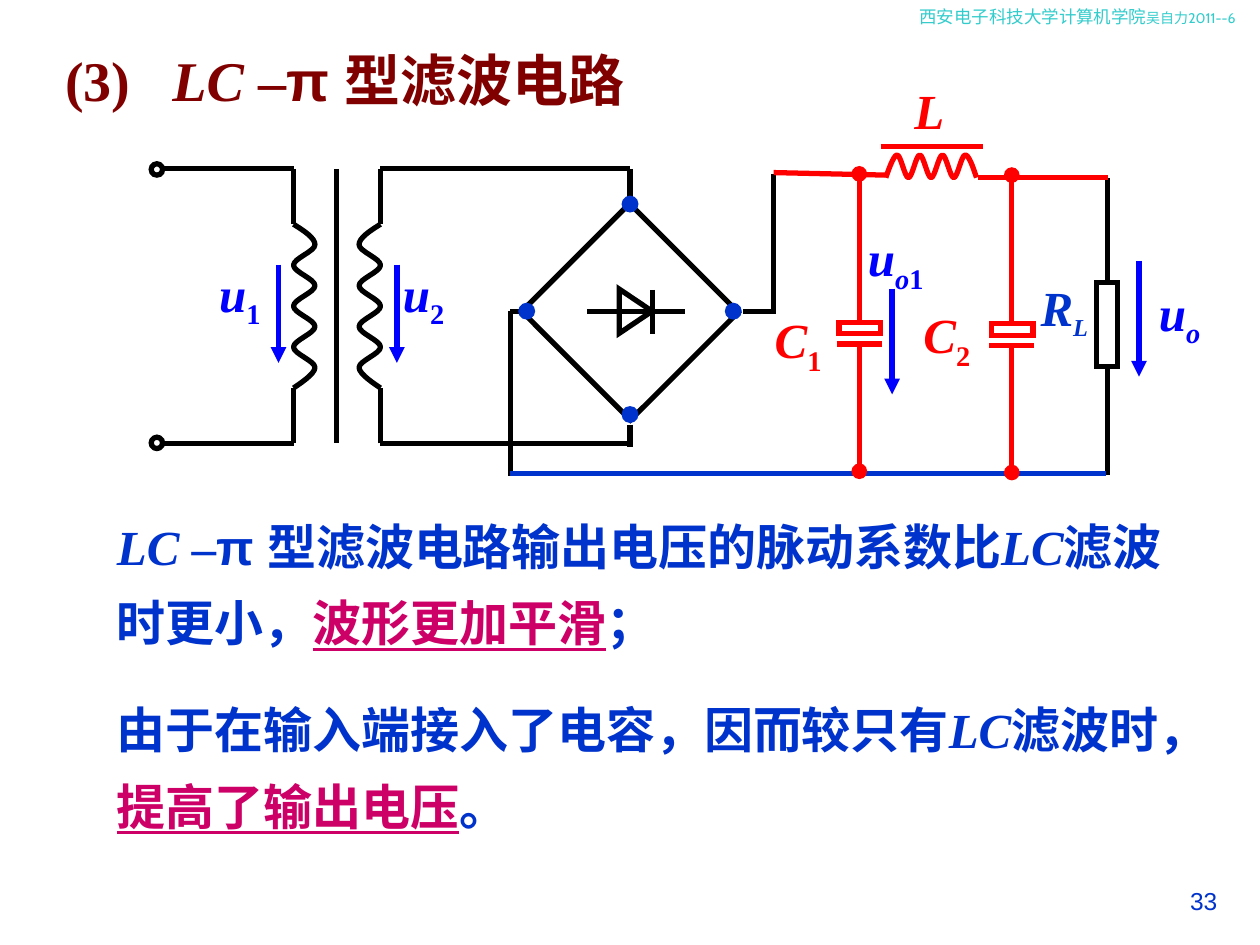
from lxml import etree
from pptx import Presentation
from pptx import util as u
from pptx.dml.color import RGBColor
from pptx.enum import shapes, text
from pptx.oxml.ns import qn

THEME = {
    "black": "000000", "red": "FF0000", "arrow": "0000FF", "blue": "0033CC",
    "maroon": "800000", "pink": "CC0066", "teal": "33CCCC",
    "serif": "Times New Roman", "sans": "Arial", "header": "Cabin",
    "title": 32, "body": 28, "subscript": 24, "number": 14, "author": 8, "school": 10,
    "wire": 3, "node": 1,
}

ITALIC = {"italic": True}
SUB = {"baseline": -25}
ITALIC_SUB = {"italic": True, "baseline": -25}
SANS = {"font": "sans"}
KEY = {"color": "pink", "underline": True}

HEADER = [("西安电子科技大学计算机学院", {"size": "school"}), ("吴自力2011--6", {"size": "author"})]
TITLE = [("(3)\t", {}), ("LC ", ITALIC), ("–", {}), ("π ", SANS), ("型滤波电路", {})]
BODY = [
    [("LC ", ITALIC), ("–", {}), ("π ", SANS), ("型滤波电路输出电压的脉动系数比", {}),
     ("LC", ITALIC), ("滤波时更小，", {}), ("波形更加平滑", KEY), ("；", {})],
    [("由于在输入端接入了电容，因而较只有", {}), ("LC", ITALIC), ("滤波时，", {}),
     ("提高了输出电压", KEY), ("。", {})],
]
LABELS = [
    ((3.1, 2.04, 0.9, 0.63), "arrow", [("u", ITALIC), ("2", SUB)], True),
    ((1.64, 2.04, 0.98, 0.63), "arrow", [("u", ITALIC), ("1", SUB)], True),
    ((7.16, 0.59, 0.44, 0.57), "red", [("L", ITALIC)], False),
    ((9.1, 2.19, 0.9, 0.63), "arrow", [("u", ITALIC), ("o", ITALIC_SUB)], True),
    ((7.23, 2.37, 1.01, 0.63), "red", [("C", ITALIC), ("2", SUB)], True),
    ((8.16, 2.15, 0.68, 0.61), "blue",
     [("R", ITALIC), ("L", {**ITALIC_SUB, "size": "subscript"})], True),
    ((6.79, 1.76, 0.64, 0.63), "arrow",
     [("u", ITALIC), ("o", ITALIC_SUB), ("1", SUB)], False),
    ((6.05, 2.41, 1.01, 0.63), "red", [("C", ITALIC), ("1", SUB)], True),
]
WIRES = {
    "black": [
        (2.33, 1.34, 2.33, 1.78), (1.29, 1.34, 2.33, 1.34), (1.29, 3.52, 2.33, 3.52),
        (2.33, 3.52, 2.33, 3.08), (2.67, 1.34, 2.67, 3.52), (3.02, 1.34, 3.02, 1.78),
        (3.02, 3.52, 3.02, 3.08), (3.02, 1.34, 5, 1.34), (5, 3.37, 5, 3.55),
        (3.02, 3.52, 5, 3.52), (5, 1.34, 5, 1.6), (4.66, 2.47, 5.44, 2.47),
        (5.18, 2.3, 5.18, 2.65), (4.14, 2.47, 4.05, 2.47), (4.05, 2.47, 4.05, 3.78),
        (5.9, 2.47, 6.16, 2.47), (6.14, 2.47, 6.14, 1.38),
        (8.79, 2.25, 8.79, 1.41), (8.79, 2.93, 8.79, 3.77),
    ],
    "red": [(7.76, 1.41, 8.79, 1.41), (6.14, 1.37, 7.03, 1.39), (6.99, 1.16, 7.8, 1.16)],
    "blue": [(4.05, 3.76, 8.78, 3.76)],
}
VOLTAGE_ARROWS = [(3.15, 2.1, 3.15, 2.88), (2.21, 2.1, 2.21, 2.88),
                  (9.04, 2.07, 9.04, 2.99), (7.08, 2.29, 7.08, 3.13)]
COILS = [
    ((2.33, 1.78), (0, 1.3), (0.17, 0), "black"),
    ((3.02, 1.78), (0, 1.3), (-0.17, 0), "black"),
    ((7.75, 1.41), (-0.72, 0), (0, -0.18), "red"),
]
CAPACITORS = [(6.82, 2.56), (8.03, 2.57)]
TERMINALS = [(1.2, 1.3), (1.2, 3.47)]
BRIDGE_NODES = [(5.82, 2.47), (5, 1.62), (4.18, 2.47), (5, 3.29)]
HALF_WAVES = 8

presentation = Presentation()
presentation.slide_width, presentation.slide_height = u.Inches(10), u.Inches(7.5)
slide = presentation.slides.add_slide(presentation.slide_layouts[6])


def color(name):
    return RGBColor.from_string(THEME[name])


def set_line(shape, name, width="wire"):
    shape.line.color.rgb = color(name)
    shape.line.width = u.Pt(THEME[width])


def add_wire(ends, name, tail=None):
    wire = slide.shapes.add_connector(shapes.MSO_CONNECTOR.STRAIGHT, *map(u.Inches, ends))
    set_line(wire, name)
    if tail:
        etree.SubElement(wire.line._get_or_add_ln(), qn("a:tailEnd"), type=tail)
    etree.SubElement(wire._element.spPr, qn("a:effectLst"))


def add_outline(kind, box, name, rotation=0, filled=False):
    shape = slide.shapes.add_shape(kind, *map(u.Inches, box))
    shape.shadow.inherit = False
    shape.rotation = rotation
    if filled:
        shape.fill.solid()
        shape.fill.fore_color.rgb = color(name)
    else:
        shape.fill.background()
    set_line(shape, name, "node" if filled else "wire")
    etree.SubElement(shape.line._get_or_add_ln(), qn("a:miter"), lim="800000")


def coil_controls(turn):
    if turn == 0:
        return (0.33, 0.5), (0.67, 1)
    if turn == HALF_WAVES - 1:
        return (turn + 0.33, 1), (turn + 0.85, 0.2)
    return (turn + 0.33, turn % 2), (turn + 0.67, (turn + 1) % 2)


def add_coil(start, axis, bulge, name):
    def locate(position, height):
        return [u.Inches(s + a * position / HALF_WAVES + b * height)
                for s, a, b in zip(start, axis, bulge)]

    turns = [locate(turn, turn % 2) for turn in range(HALF_WAVES + 1)]
    builder = slide.shapes.build_freeform(*turns[0])
    builder.add_line_segments(turns[1:], close=False)
    coil = builder.convert_to_shape()
    segments = list(coil._element.spPr.iter(qn("a:lnTo")))
    for turn, segment in enumerate(segments):
        segment.tag = qn("a:cubicBezTo")
        for index, control in enumerate(coil_controls(turn)):
            x, y = locate(*control)
            point = etree.Element(qn("a:pt"), x=str(x - coil.left), y=str(y - coil.top))
            segment.insert(index, point)
    coil.shadow.inherit = False
    coil.fill.background()
    set_line(coil, name)


def add_text(box, paragraphs, size, name, font="serif", bold=True, wrap=True, grow=True,
             align=None, spacing=None, before=0, tab=None):
    frame = slide.shapes.add_textbox(*map(u.Inches, box)).text_frame
    frame.word_wrap = wrap
    frame.auto_size = text.MSO_AUTO_SIZE.SHAPE_TO_FIT_TEXT if grow else text.MSO_AUTO_SIZE.NONE
    for index, runs in enumerate(paragraphs):
        paragraph = frame.paragraphs[0] if index == 0 else frame.add_paragraph()
        paragraph.alignment = align
        paragraph.line_spacing = spacing
        if index:
            paragraph.space_before = u.Pt(before)
        if tab:
            tabs = etree.SubElement(paragraph._p.get_or_add_pPr(), qn("a:tabLst"))
            etree.SubElement(tabs, qn("a:tab"), pos=str(u.Inches(tab)), algn="l")
        paragraph.font.bold = bold
        for words, style in runs:
            run = paragraph.add_run()
            run.text = words
            run.font.size = u.Pt(THEME[style.get("size", size)])
            run.font.name = THEME[style.get("font", font)]
            run.font.color.rgb = color(style.get("color", name))
            run.font.bold = bold
            run.font.italic = style.get("italic")
            run.font.underline = style.get("underline")
            if "baseline" in style:
                run._r.get_or_add_rPr().set("baseline", str(style["baseline"] * 1000))


add_text((7.2, 0, 2.8, 0.27), [HEADER], "school", "teal", font="header", bold=False)
add_text((0.42, 0.31, 5.46, 0.64), [TITLE], "title", "maroon", tab=0.85)

for name, wires in WIRES.items():
    for ends in wires:
        add_wire(ends, name)
for coil in COILS:
    add_coil(*coil)
for ends in VOLTAGE_ARROWS:
    add_wire(ends, "arrow", "triangle")

SHAPE = shapes.MSO_SHAPE
for left, top in TERMINALS:
    add_outline(SHAPE.OVAL, (left, top, 0.09, 0.09), "black")
add_outline(SHAPE.RECTANGLE, (4.39, 1.87, 1.22, 1.21), "black", rotation=45)
add_outline(SHAPE.ISOSCELES_TRIANGLE, (4.87, 2.34, 0.35, 0.26), "black", rotation=90)
add_outline(SHAPE.RECTANGLE, (8.7, 2.24, 0.17, 0.67), "black")
for x, y in BRIDGE_NODES:
    add_outline(SHAPE.OVAL, (x - 0.06, y - 0.06, 0.12, 0.12), "blue", filled=True)
for x, top in CAPACITORS:
    plate = top + 0.17
    add_outline(SHAPE.RECTANGLE, (x - 0.16, top, 0.33, 0.09), "red")
    add_wire((x - 0.18, plate, x + 0.18, plate), "red")
    add_wire((x, plate, x, plate + 1.01), "red", "oval")
    add_wire((x, top, x, top - 1.18), "red", "oval")

for box, name, runs, wrap in LABELS:
    add_text(box, [runs], "body", name, wrap=wrap)
add_text((0.83, 3.91, 8.51, 2.77), BODY, "body", "blue", spacing=1.3, before=17.5)
add_text((9.17, 6.98, 0.59, 0.44), [[("33", {})]], "number", "blue", font="sans",
         bold=False, grow=False, align=text.PP_ALIGN.RIGHT)

presentation.save("out.pptx")
